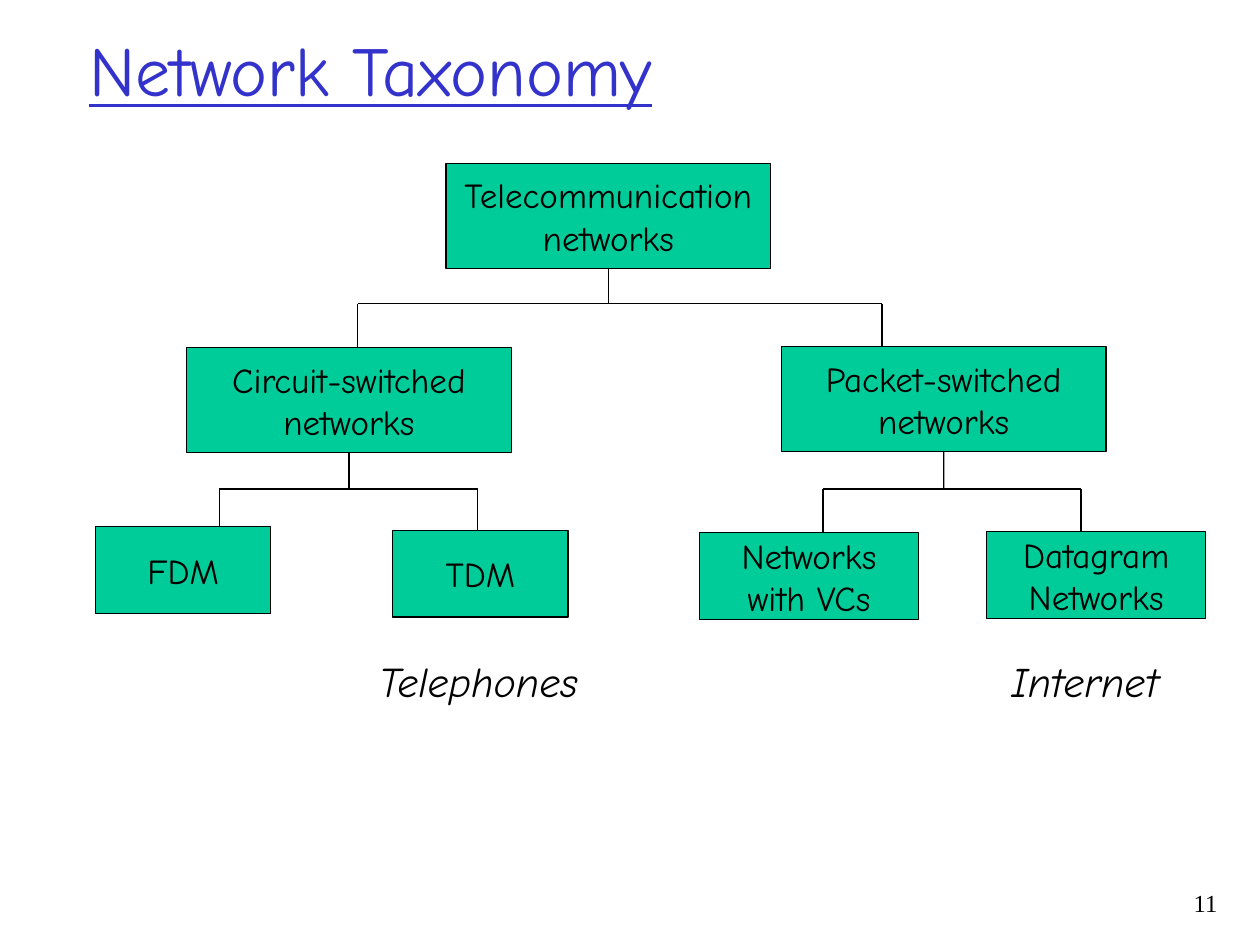
from dataclasses import dataclass

from lxml.etree import SubElement
from pptx import Presentation
from pptx.dml.color import RGBColor
from pptx.enum.shapes import MSO_CONNECTOR as Connector, MSO_SHAPE as Preset
from pptx.enum.text import MSO_ANCHOR as Anchor, PP_ALIGN as Align
from pptx.oxml.ns import qn
from pptx.util import Cm, Pt

GREEN, BLUE, BLACK = "00CC99", "3333CC", "000000"
HAND, SERIF = "Comic Neue", "Times New Roman"
BOTTOM = 2  # connection site


@dataclass
class Node:
    lines: list[str]
    left: float
    top: float
    width: float
    height: float

    @property
    def middle(self) -> float:
        return self.left + self.width / 2

    @property
    def bottom(self) -> float:
        return self.top + self.height


@dataclass
class Branch:
    parent: str
    bar_top: float
    drops: dict[str, float]  # child name and x of the line down to it


@dataclass
class Label:
    text: str
    left: float
    top: float
    width: float
    height: float
    size: int = 24
    font: str = HAND
    color: str = BLACK
    italic: bool = False
    underline: bool = False
    align: Align = Align.LEFT
    anchor: Anchor = Anchor.TOP
    wrap: bool = True


NODES = {
    "root": Node(["Telecommunication", "networks"], 8.99, 3.3, 6.55, 2.11),
    "circuit": Node(["Circuit-switched", "networks"], 3.76, 7.01, 6.55, 2.11),
    "packet": Node(["Packet-switched", "networks"], 15.75, 6.99, 6.55, 2.11),
    "fdm": Node(["FDM"], 1.93, 10.62, 3.53, 1.75),
    "tdm": Node(["TDM"], 7.92, 10.69, 3.53, 1.75),
    "vc": Node(["Networks", "with VCs"], 14.1, 10.74, 4.42, 1.75),
    "datagram": Node(["Datagram", "Networks"], 19.89, 10.72, 4.42, 1.75),
}
BRANCHES = [
    Branch("root", 6.12, {"circuit": 7.21, "packet": 17.78}),
    Branch("circuit", 9.86, {"fdm": 4.42, "tdm": 9.63}),
    Branch("packet", 9.86, {"vc": 16.59, "datagram": 21.79}),
]
LABELS = [
    Label("Network Taxonomy", 1.55, 0, 21.59, 2.77, size=40, color=BLUE,
          underline=True, anchor=Anchor.MIDDLE),
    Label("Telephones", 7.39, 13.08, 4.57, 1.27, italic=True, wrap=False),
    Label("Internet", 20.14, 13.08, 3.51, 1.27, italic=True, wrap=False),
    Label("11", 23.06, 17.78, 1.73, 1.27, size=14, font=SERIF, align=Align.RIGHT),
]


def paint(color_format, color: str) -> None:
    color_format.rgb = RGBColor.from_string(color)


def add_span(para, text: str, size: int, font: str, color: str):
    span = para.add_run()
    span.text = text
    span.font.size = Pt(size)
    span.font.name = font
    paint(span.font.color, color)
    return span


def add_node(page, node: Node):
    box = page.shapes.add_shape(Preset.RECTANGLE, Cm(node.left), Cm(node.top),
                                Cm(node.width), Cm(node.height))
    box.shadow.inherit = False
    box.fill.solid()
    paint(box.fill.fore_color, GREEN)
    paint(box.line.color, BLACK)
    box.line.width = Pt(0.75)
    frame = box.text_frame
    frame.word_wrap = False
    frame.vertical_anchor = Anchor.MIDDLE
    for index, line in enumerate(node.lines):
        para = frame.add_paragraph() if index else frame.paragraphs[0]
        para.alignment = Align.CENTER
        add_span(para, line, 20, HAND, BLACK)
    return box


def add_line(page, x1: float, y1: float, x2: float, y2: float):
    line = page.shapes.add_connector(Connector.STRAIGHT, Cm(x1), Cm(y1), Cm(x2), Cm(y2))
    paint(line.line.color, BLACK)
    line.line.width = Pt(0.75)
    SubElement(line._element.spPr, qn("a:effectLst"))
    return line


def add_branch(page, branch: Branch, boxes: dict) -> None:
    parent, bar_top = NODES[branch.parent], branch.bar_top
    stem = add_line(page, parent.middle, parent.bottom, parent.middle, bar_top)
    stem.begin_connect(boxes[branch.parent], BOTTOM)
    add_line(page, min(branch.drops.values()), bar_top, max(branch.drops.values()), bar_top)
    for child, x in branch.drops.items():
        add_line(page, x, bar_top, x, NODES[child].top)


def add_label(page, label: Label) -> None:
    box = page.shapes.add_textbox(Cm(label.left), Cm(label.top),
                                  Cm(label.width), Cm(label.height))
    frame = box.text_frame
    frame.word_wrap = label.wrap
    frame.vertical_anchor = label.anchor
    para = frame.paragraphs[0]
    para.alignment = label.align
    span = add_span(para, label.text, label.size, label.font, label.color)
    span.font.italic = label.italic
    span.font.underline = label.underline


def main() -> None:
    deck = Presentation()
    deck.slide_width, deck.slide_height = Cm(25.4), Cm(19.05)
    page = deck.slides.add_slide(deck.slide_layouts[6])

    # Tree of networks
    boxes = {name: add_node(page, node) for name, node in NODES.items()}
    for branch in BRANCHES:
        add_branch(page, branch, boxes)

    # Title, captions and page number
    for label in LABELS:
        add_label(page, label)

    deck.save("out.pptx")


if __name__ == "__main__":
    main()
